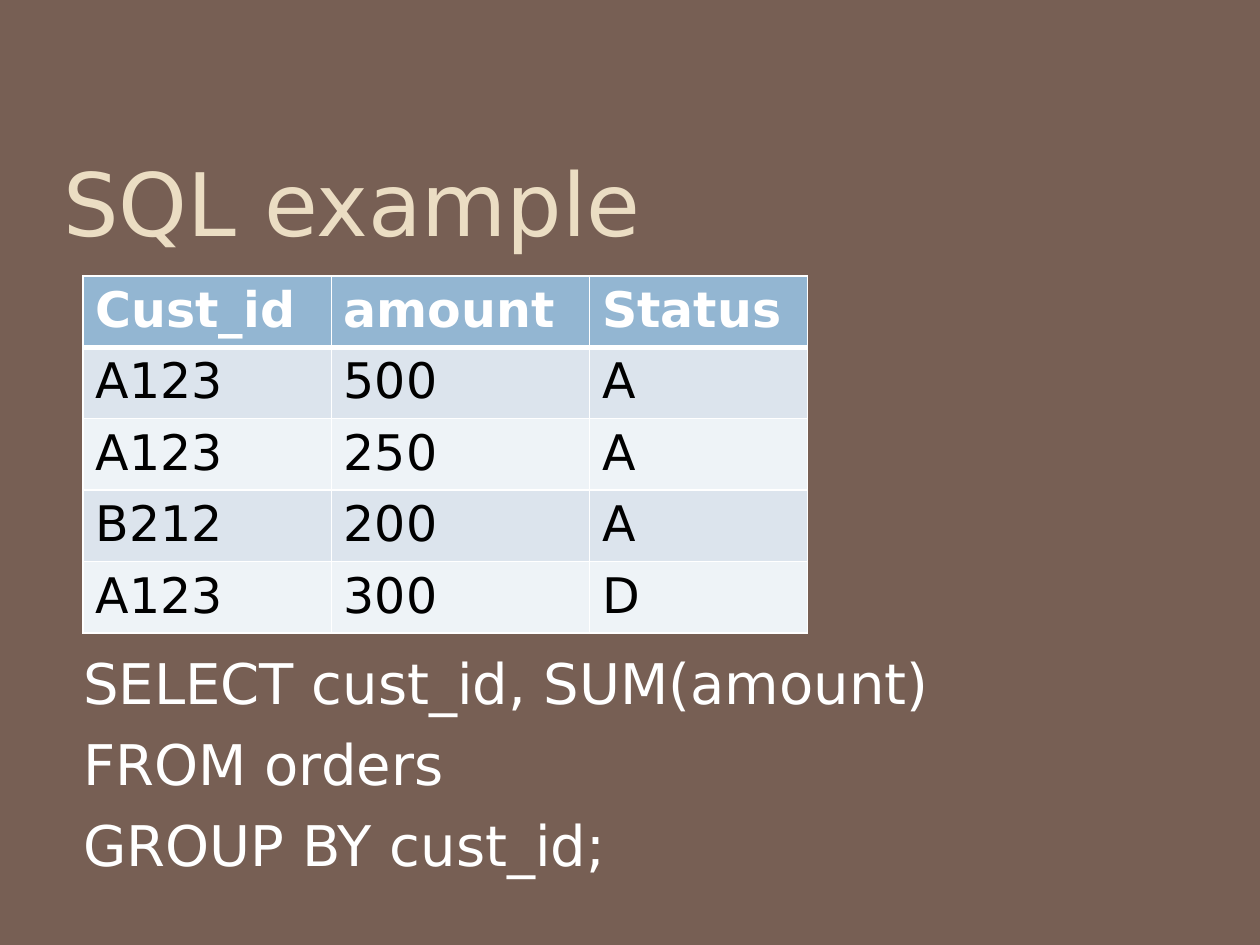
"""Build the SQL example slide with its orders table and query."""
from dataclasses import dataclass

from lxml import etree
from pptx import Presentation
from pptx.dml.color import RGBColor
from pptx.enum.text import MSO_ANCHOR
from pptx.oxml.ns import qn
from pptx.util import Pt

TOP = MSO_ANCHOR.TOP


@dataclass(frozen=True)
class Theme:
    font: str = "DejaVu Sans"
    back: str = "775F54"
    title: str = "EBDDC3"
    light: str = "FFFFFF"
    dark: str = "000000"
    head: str = "93B6D2"
    bands: tuple = ("DCE4ED", "EEF3F7")
    big: float = 50
    mid: float = 32
    small: float = 28


@dataclass(frozen=True)
class Line:
    text: str
    size: float
    color: str
    before: float
    bold: bool = False
    pitch: float = 1.0


@dataclass(frozen=True)
class Box:
    left: float
    top: float
    width: float
    height: float
    lines: tuple


THEME = Theme()
BOXES = (
    Box(35.3, 84.2, 333.4, 61.9, (Line("SQL example", THEME.big, THEME.title, 0.9),)),
    Box(46.8, 362.2, 497.5, 140.4, (
        Line("SELECT cust_id, SUM(amount)\vFROM orders", THEME.mid, THEME.light, 1, pitch=1.2),
        Line("GROUP BY cust_id;", THEME.mid, THEME.light, 7.7),
    )),
)
ROWS = (
    ("Cust_id", "amount", "Status"),
    ("A123", "500", "A"),
    ("A123", "250", "A"),
    ("B212", "200", "A"),
    ("A123", "300", "D"),
)
WIDTHS = (141.8, 147.6, 124.6)
TALL = 40.8
FRAME = {"margin_left": Pt(0.9), "margin_top": Pt(0.9), "margin_right": 0,
         "margin_bottom": 0, "word_wrap": True, "vertical_anchor": TOP}
CELL = {"margin_left": Pt(7.2), "margin_top": Pt(3.6), "margin_right": 0,
        "margin_bottom": 0, "vertical_anchor": TOP}


def apply(item, values: dict) -> None:
    for name, value in values.items():
        setattr(item, name, value)


def write(frame, lines: tuple) -> None:
    for i, line in enumerate(lines):
        para = frame.add_paragraph() if i else frame.paragraphs[0]
        apply(para, {"text": line.text, "space_before": Pt(line.before),
                     "line_spacing": line.pitch})
        for run in para.runs:
            apply(run.font, {"name": THEME.font, "size": Pt(line.size), "bold": line.bold})
            run.font.color.rgb = RGBColor.from_string(line.color)


def add_box(slide, box: Box) -> None:
    spot = map(Pt, (box.left, box.top, box.width, box.height))
    frame = slide.shapes.add_textbox(*spot).text_frame
    apply(frame, FRAME)
    write(frame, box.lines)


def edge(cell, side: str, width: float) -> None:
    props = cell._tc.get_or_add_tcPr()
    rule = etree.SubElement(props, qn(f"a:ln{side}"), w=str(Pt(width)))
    fill = etree.SubElement(rule, qn("a:solidFill"))
    etree.SubElement(fill, qn("a:srgbClr"), val=THEME.light)


def add_cell(cell, text: str, row: int) -> None:
    head = row == 0
    apply(cell, CELL)
    wide = {"L": 1, "R": 1, "T": 3 if row == 1 else 1, "B": 3 if head else 1}
    for side, width in wide.items():
        edge(cell, side, width)
    cell.fill.solid()
    color = THEME.head if head else THEME.bands[(row - 1) % 2]
    cell.fill.fore_color.rgb = RGBColor.from_string(color)
    ink = THEME.light if head else THEME.dark
    write(cell.text_frame, (Line(text, THEME.small, ink, 3.4, head),))


def add_grid(slide) -> None:
    spot = map(Pt, (47.5, 157.7, sum(WIDTHS), TALL * len(ROWS)))
    table = slide.shapes.add_table(len(ROWS), len(WIDTHS), *spot).table
    for col, width in zip(table.columns, WIDTHS):
        col.width = Pt(width)
    for r, row in enumerate(ROWS):
        table.rows[r].height = Pt(TALL)
        for c, text in enumerate(row):
            add_cell(table.cell(r, c), text, r)


def main() -> None:
    deck = Presentation()
    apply(deck, {"slide_width": Pt(720), "slide_height": Pt(540)})
    slide = deck.slides.add_slide(deck.slide_layouts[6])
    fill = slide.background.fill
    fill.solid()
    fill.fore_color.rgb = RGBColor.from_string(THEME.back)
    for box in BOXES:
        add_box(slide, box)
    add_grid(slide)
    deck.save("out.pptx")


if __name__ == "__main__":
    main()
